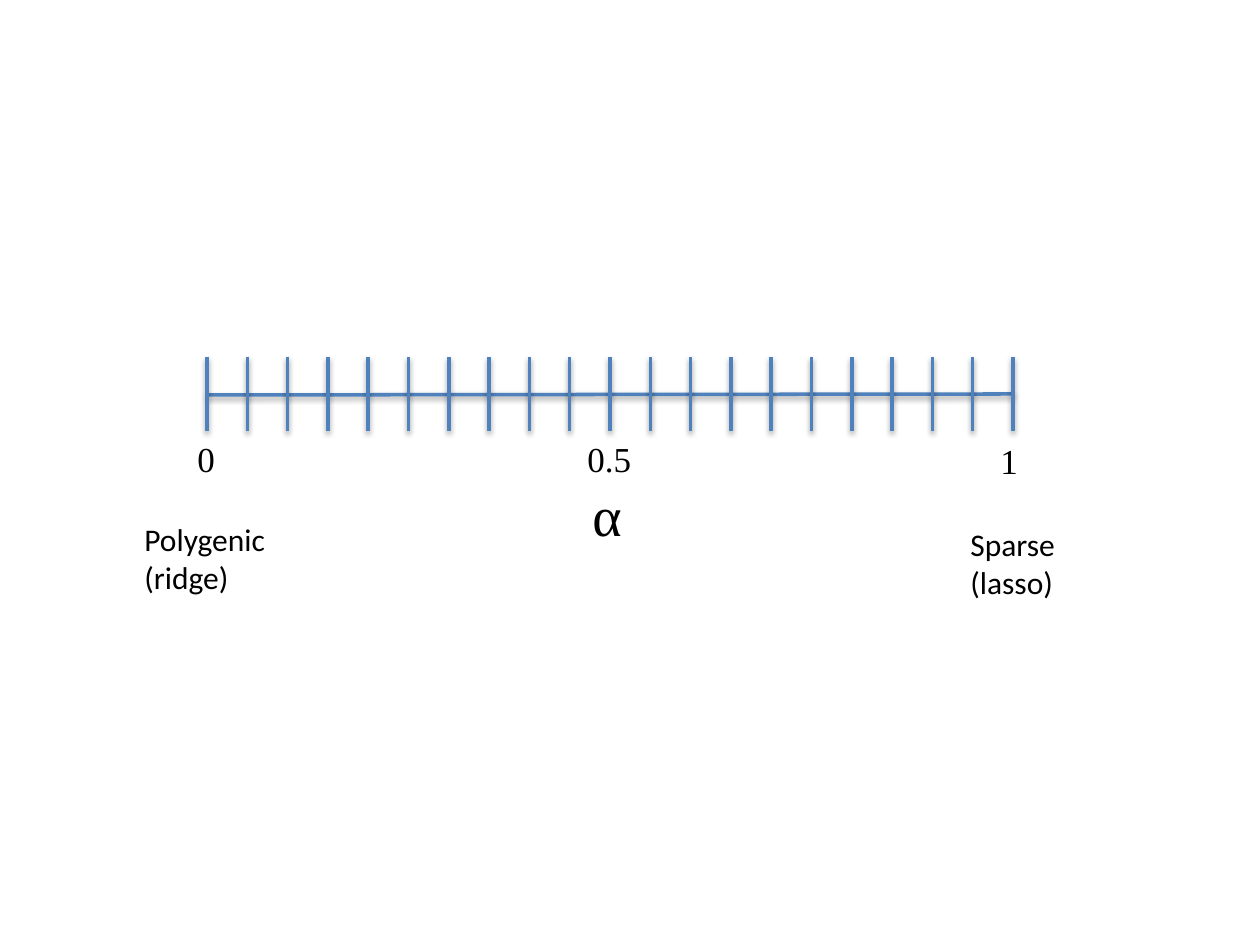
import pptx
import pptx.dml.color
import pptx.enum.shapes
import pptx.enum.text
import pptx.oxml
import pptx.oxml.ns
import pptx.util

PX = pptx.util.Inches(1) / 126
BLUE = pptx.dml.color.RGBColor(0x4F, 0x81, 0xBD)
BLACK = pptx.dml.color.RGBColor(0, 0, 0)
SERIF = "Times New Roman"
SANS = "Calibri"
STEPS = 20
SHADOW = (
    f"<a:effectLst {pptx.oxml.ns.nsdecls('a')}>"
    '<a:outerShdw blurRad="40000" dist="20000" dir="5400000" rotWithShape="0">'
    '<a:srgbClr val="000000"><a:alpha val="38000"/></a:srgbClr>'
    "</a:outerShdw></a:effectLst>"
)


def emu(px):
    """Turn px into EMU."""
    return pptx.util.Emu(round(px * PX))


def draw_line(slide, *ends):
    """Draw a blue line with a soft shadow from x1, y1 to x2, y2."""
    kind = pptx.enum.shapes.MSO_CONNECTOR.STRAIGHT
    line = slide.shapes.add_connector(kind, *map(emu, ends))
    line.line.color.rgb = BLUE
    line.line.width = pptx.util.Pt(2)
    line._element.spPr.append(pptx.oxml.parse_xml(SHADOW))


def add_text(slide, box, lines, font, size, wrap=True):
    """Write one paragraph for each line in a text box."""
    frame = slide.shapes.add_textbox(*map(emu, box)).text_frame
    frame.word_wrap = wrap
    frame.auto_size = pptx.enum.text.MSO_AUTO_SIZE.SHAPE_TO_FIT_TEXT
    for i, text in enumerate(lines):
        para = frame.add_paragraph() if i else frame.paragraphs[0]
        run = para.add_run()
        run.text = text
        run.font.name = font
        run.font.size = pptx.util.Pt(size)
        run.font.color.rgb = BLACK


def draw_scale(slide, box):
    """Draw the axis and its evenly spaced ticks."""
    left, top, width, height = box
    mid = top + height // 2
    draw_line(slide, left, mid + 1, left + width, mid)
    for i in range(STEPS + 1):
        x = left + i * width / STEPS
        draw_line(slide, x, top, x, top + height)


def add_marks(slide, box):
    """Write the values and the name of the axis under the scale."""
    left, top, width, height = box
    marks = [
        ("0", 0, 0, 67, 55, 20),
        ("0.5", 390, 0, 102, 55, 20),
        ("1", width - 67, 2, 67, 55, 20),
        ("α", 395, height - 81, 140, 81, 32),
    ]
    for text, x, y, wide, high, size in marks:
        add_text(slide, (left + x, top + y, wide, high), [text], SERIF, size)


def add_ends(slide, box):
    """Name the models at both ends of the scale."""
    left, top, width, height = box
    ends = [
        (["Polygenic", "(ridge)"], 0, 0, 149),
        (["Sparse", "(lasso)"], width - 111, 5, 111),
    ]
    for lines, x, y, wide in ends:
        place = (left + x, top + y, wide, height - 5)
        add_text(slide, place, lines, SANS, 18, wrap=False)


def main():
    """Build and save the slide."""
    deck = pptx.Presentation()
    deck.slide_width, deck.slide_height = emu(1260), emu(945)
    slide = deck.slides.add_slide(deck.slide_layouts[6])
    draw_scale(slide, (207, 357, 806, 74))
    add_marks(slide, (185, 431, 870, 124))
    add_ends(slide, (132, 514, 937, 94))
    deck.save("out.pptx")


if __name__ == "__main__":
    main()
